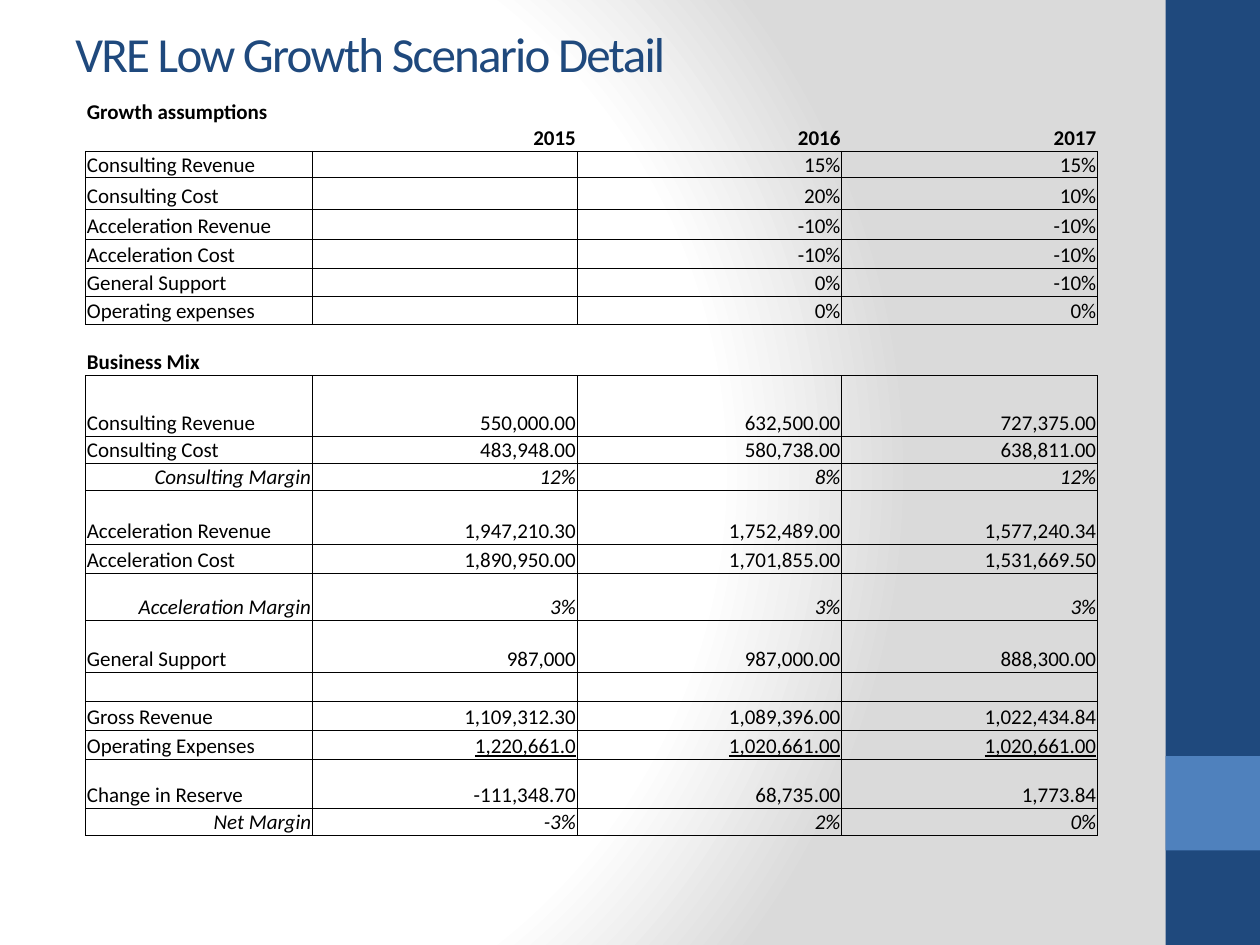
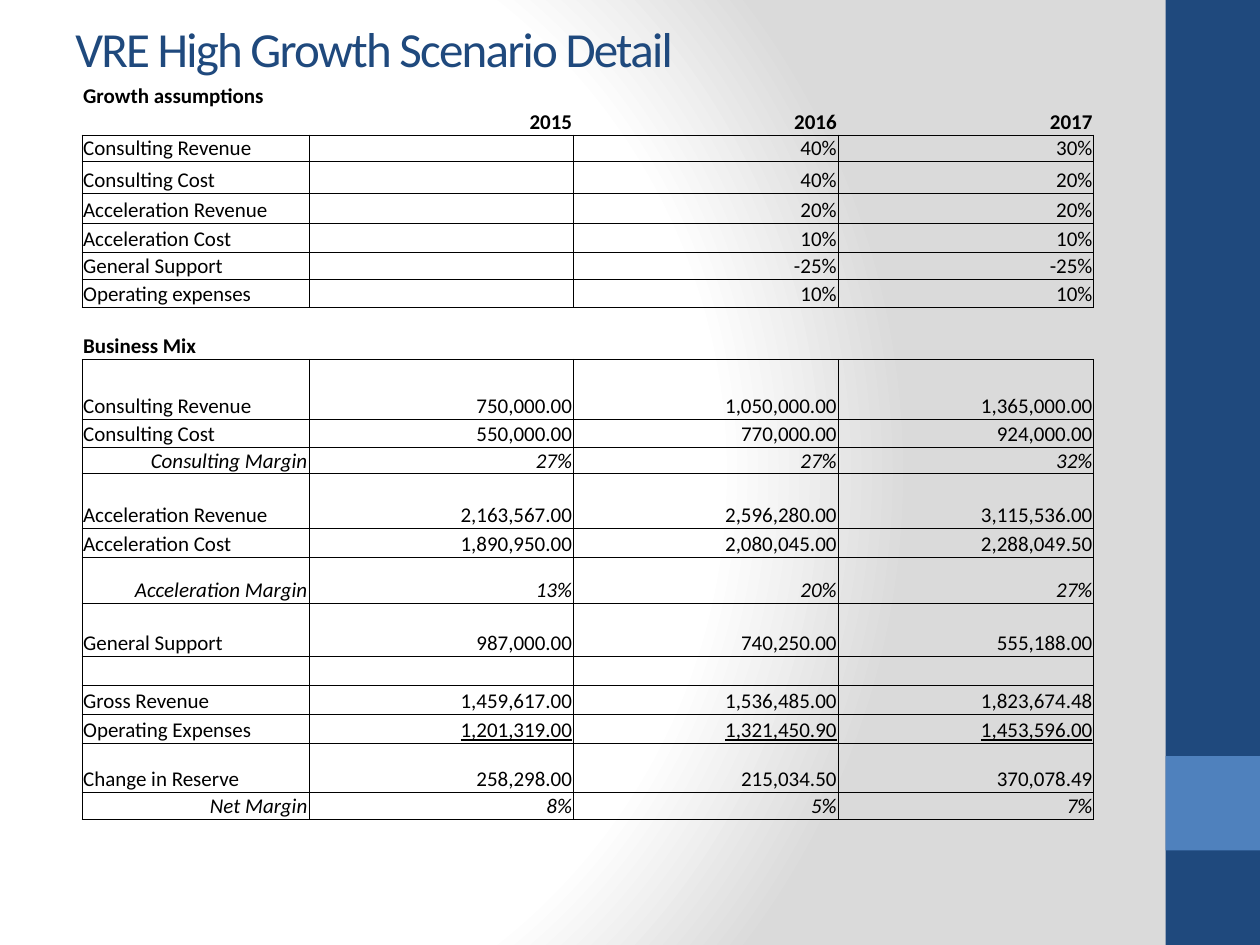
from pptx import Presentation
from pptx.dml.color import RGBColor
from pptx.enum.shapes import MSO_SHAPE
from pptx.enum.text import MSO_ANCHOR, PP_ALIGN
from pptx.oxml import parse_xml
from pptx.oxml.ns import nsdecls, qn
from pptx.util import Inches, Pt
from lxml.etree import SubElement

COLORS = {"navy": "1F497D", "blue": "4F81BD", "ink": "000000",
          "light": "FFFFFF", "shade": "DADADA"}
FONT = "Calibri"
NO_STYLE = "{2D5ABB26-0587-4C30-8999-92F81FD0307C}"

BANDS = [((9.25, 0, 0.75, 7.5), "navy"), ((9.25, 6, 0.75, 0.75), "blue")]
COLUMN_WIDTHS = [1.8, 2.1, 2.1, 2.03]
# Row label, row height; the figures of each scenario follow the same order
ROWS = [
    ("Growth assumptions", 0.42),
    ("Consulting Revenue", 0.21),
    ("Consulting Cost", 0.25),
    ("Acceleration Revenue", 0.24),
    ("Acceleration Cost", 0.23),
    ("General Support", 0.22),
    ("Operating expenses", 0.22),
    ("Business Mix", 0.41),
    ("Consulting Revenue", 0.48),
    ("Consulting Cost", 0.22),
    ("Consulting Margin", 0.21),
    ("Acceleration Revenue", 0.43),
    ("Acceleration Cost", 0.23),
    ("Acceleration Margin", 0.37),
    ("General Support", 0.42),
    ("", 0.23),
    ("Gross Revenue", 0.23),
    ("Operating Expenses", 0.23),
    ("Change in Reserve", 0.39),
    ("Net Margin", 0.21),
]
YEARS = ("2015", "2016", "2017")
BLANK = ("", "", "")

SCENARIOS = [
    {
        "title": "VRE Low Growth Scenario Detail",
        "title_box": (0.5, 0, 8.33, 0.84),
        "table_corner": (0.68, 0.78),
        "growth": [("", "15%", "15%"), ("", "20%", "10%"), ("", "-10%", "-10%"),
                   ("", "-10%", "-10%"), ("", "0%", "-10%"), ("", "0%", "0%")],
        "mix": [
            ("550,000.00", "632,500.00", "727,375.00"),
            ("483,948.00", "580,738.00", "638,811.00"),
            ("12%", "8%", "12%"),
            ("1,947,210.30", "1,752,489.00", "1,577,240.34"),
            ("1,890,950.00", "1,701,855.00", "1,531,669.50"),
            ("3%", "3%", "3%"),
            ("987,000", "987,000.00", "888,300.00"),
            BLANK,
            ("1,109,312.30", "1,089,396.00", "1,022,434.84"),
            ("1,220,661.0", "1,020,661.00", "1,020,661.00"),
            ("-111,348.70", "68,735.00", "1,773.84"),
            ("-3%", "2%", "0%"),
        ],
    },
    {
        "title": "VRE High Growth Scenario Detail",
        "title_box": (0.5, 0.14, 8.33, 0.48),
        "table_corner": (0.65, 0.65),
        "growth": [("", "40%", "30%"), ("", "40%", "20%"), ("", "20%", "20%"),
                   ("", "10%", "10%"), ("", "-25%", "-25%"), ("", "10%", "10%")],
        "mix": [
            ("750,000.00", "1,050,000.00", "1,365,000.00"),
            ("550,000.00", "770,000.00", "924,000.00"),
            ("27%", "27%", "32%"),
            ("2,163,567.00", "2,596,280.00", "3,115,536.00"),
            ("1,890,950.00", "2,080,045.00", "2,288,049.50"),
            ("13%", "20%", "27%"),
            ("987,000.00", "740,250.00", "555,188.00"),
            BLANK,
            ("1,459,617.00", "1,536,485.00", "1,823,674.48"),
            ("1,201,319.00", "1,321,450.90", "1,453,596.00"),
            ("258,298.00", "215,034.50", "370,078.49"),
            ("8%", "5%", "7%"),
        ],
    },
]


def rgb(name):
    return RGBColor.from_string(COLORS[name])


def set_background(master):
    """Give every slide the radial fade from white to grey."""
    master.background.fill.gradient()
    stops = "".join(
        f'<a:gs pos="{pos * 1000}"><a:srgbClr val="{COLORS[name]}"/></a:gs>'
        for pos, name in ((0, "light"), (75, "light"), (100, "shade")))
    fade = parse_xml(
        f'<a:gradFill {nsdecls("a")} rotWithShape="1"><a:gsLst>{stops}</a:gsLst>'
        '<a:path path="circle"><a:fillToRect l="20000" t="50000" r="100000" '
        'b="50000"/></a:path></a:gradFill>')
    default = master.element.find(".//" + qn("a:gradFill"))
    default.getparent().replace(default, fade)


def add_bands(slide):
    for box, color in BANDS:
        band = slide.shapes.add_shape(MSO_SHAPE.RECTANGLE, *map(Inches, box))
        band.shadow.inherit = False
        band.fill.solid()
        band.fill.fore_color.rgb = rgb(color)
        band.line.fill.background()


def add_run(paragraph, text, size, color):
    run = paragraph.add_run()
    run.text = text
    run.font.size = Pt(size)
    run.font.name = FONT
    run.font.color.rgb = rgb(color)
    return run


def add_title(slide, text, box):
    frame = slide.shapes.add_textbox(*map(Inches, box)).text_frame
    frame.word_wrap = True
    frame.vertical_anchor = MSO_ANCHOR.MIDDLE
    run = add_run(frame.paragraphs[0], text, 28, "navy")
    run.font._element.set("spc", "-100")


def set_borders(cell, sides):
    properties = cell._tc.get_or_add_tcPr()
    for side in "LRTB":
        line = SubElement(properties, qn(f"a:ln{side}"), w=str(Pt(0.25)))
        if side in sides:
            fill = SubElement(line, qn("a:solidFill"))
            SubElement(fill, qn("a:srgbClr"), val=COLORS["ink"])
        else:
            SubElement(line, qn("a:noFill"))


def fill_cell(cell, text, label, is_value):
    is_heading = label in ("Growth assumptions", "Business Mix")
    is_margin = label.endswith("Margin")
    set_borders(cell, {"Growth assumptions": "B", "Business Mix": "TB"}.get(label, "LRTB"))
    cell.fill.background()
    cell.margin_left = cell.margin_right = cell.margin_top = Inches(0.01)
    cell.margin_bottom = 0
    on_top = text == "Growth assumptions"
    cell.vertical_anchor = MSO_ANCHOR.TOP if on_top else MSO_ANCHOR.BOTTOM
    paragraph = cell.text_frame.paragraphs[0]
    if not text:
        SubElement(paragraph._p, qn("a:endParaRPr"), sz="1200")
        return
    paragraph.alignment = PP_ALIGN.RIGHT if is_value or is_margin else PP_ALIGN.LEFT
    font = add_run(paragraph, text, 12, "ink").font
    font.bold = is_heading
    font.italic = is_margin
    font.underline = is_value and label == "Operating Expenses"


def add_scenario_table(slide, scenario):
    figures = [YEARS, *scenario["growth"], BLANK, *scenario["mix"]]
    size = sum(COLUMN_WIDTHS), sum(height for _, height in ROWS)
    table = slide.shapes.add_table(
        len(ROWS), len(COLUMN_WIDTHS),
        *map(Inches, (*scenario["table_corner"], *size))).table
    table.first_row = table.horz_banding = False
    table._tbl.tblPr.find(qn("a:tableStyleId")).text = NO_STYLE
    for column, width in zip(table.columns, COLUMN_WIDTHS):
        column.width = Inches(width)
    for row, (label, height), values in zip(table.rows, ROWS, figures):
        row.height = Inches(height)
        for index, (cell, text) in enumerate(zip(row.cells, (label, *values))):
            fill_cell(cell, text, label, is_value=index > 0)


def main():
    deck = Presentation()
    deck.slide_width, deck.slide_height = Inches(10), Inches(7.5)
    set_background(deck.slide_master)
    for scenario in SCENARIOS:
        slide = deck.slides.add_slide(deck.slide_layouts[6])
        add_bands(slide)
        add_title(slide, scenario["title"], scenario["title_box"])
        add_scenario_table(slide, scenario)
    deck.save("out.pptx")


if __name__ == "__main__":
    main()
